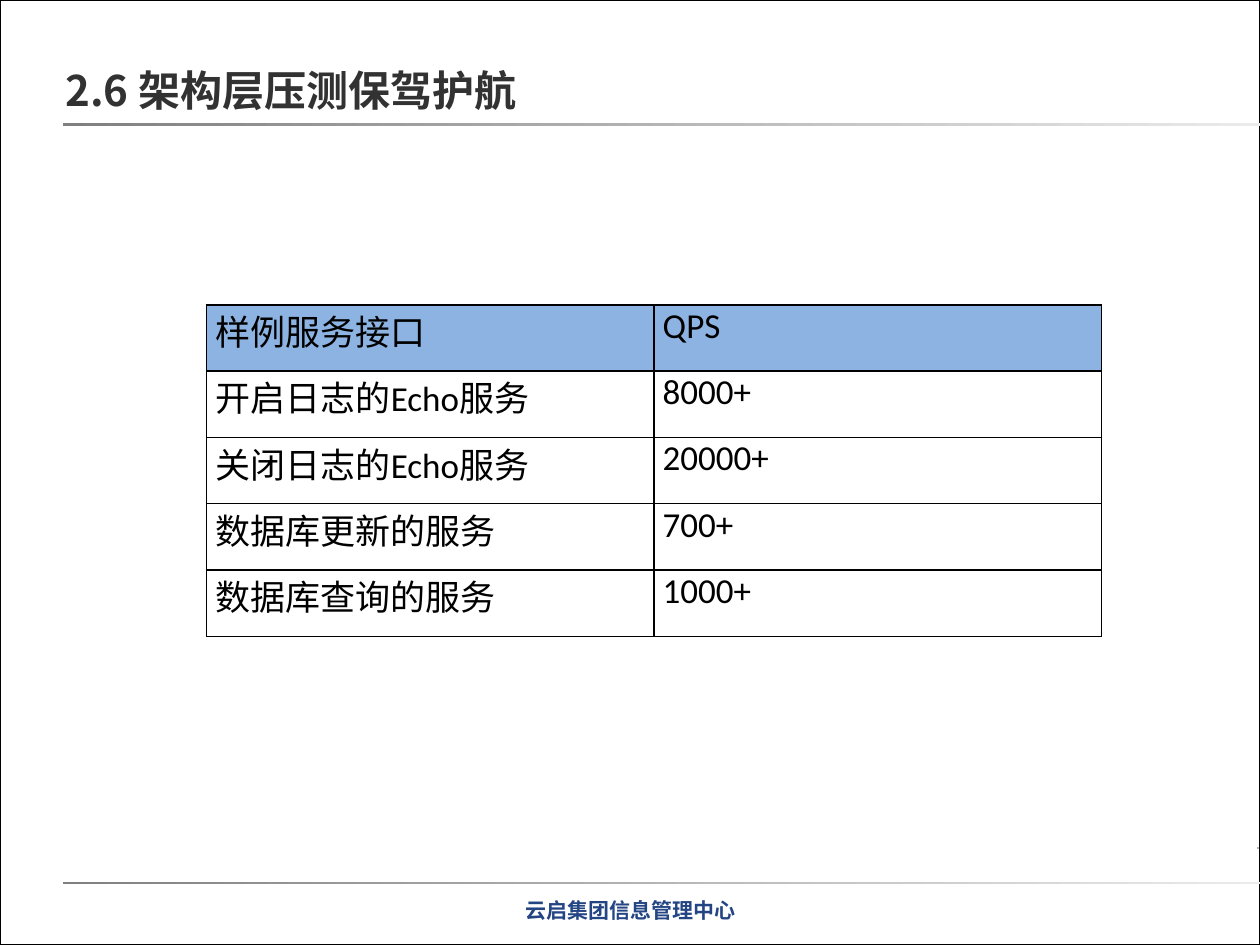
"""Build the slide on load-test results of the architecture layer."""
from lxml import etree
from pptx import Presentation
from pptx import util as u
from pptx.dml.color import RGBColor
from pptx.enum import shapes, text
from pptx.oxml.ns import qn

COLORS = {"white": "FFFFFF", "black": "000000", "title": "323232", "footer": "244583",
          "header": "8DB3E2", "rule_dark": "808080", "rule_light": "EBEBEB", "tick_light": "D7D7D7"}
CJK = "Noto Sans CJK SC"


def rgb(name):
    return RGBColor.from_string(COLORS[name])


def write(tf, words, size=20, font="Calibri", color="black", bold=False,
          align=text.PP_ALIGN.LEFT, spacing=None, anchor=None, insets=None):
    tf.word_wrap = True
    if anchor is not None:
        tf.auto_size = text.MSO_AUTO_SIZE.NONE
        tf.vertical_anchor = anchor
    if insets is not None:
        tf.margin_left = tf.margin_right = u.Inches(insets[0])
        tf.margin_top = tf.margin_bottom = u.Inches(insets[1])
    p = tf.paragraphs[0]
    p.alignment = align
    if spacing:
        p.line_spacing = u.Pt(spacing)
    r = p.add_run()
    r.text = words
    r.font.size, r.font.name, r.font.bold = u.Pt(size), font, bold
    r.font.color.rgb = rgb(color)
    etree.SubElement(r._r.get_or_add_rPr(), qn("a:ea"), typeface=CJK)


prs = Presentation()
prs.slide_width, prs.slide_height = u.Inches(10), u.Inches(7.5)
s = prs.slides.add_slide(prs.slide_layouts[5])
s.background.fill.solid()
s.background.fill.fore_color.rgb = rgb("white")

frame = s.shapes.add_shape(shapes.MSO_SHAPE.RECTANGLE, 0, 0, prs.slide_width, prs.slide_height)
frame.shadow.inherit = False
frame.fill.background()
frame.line.color.rgb = rgb("black")
frame.line.width = u.Pt(1)

rules = [(9.98, 6.72, 0.01, "tick_light"), (0.5, 0.98, 9.53, "rule_light"), (0.5, 7, 9.53, "rule_light")]
for left, top, width, end in rules:
    sp = s.shapes.add_shape(shapes.MSO_SHAPE.RECTANGLE, u.Inches(left), u.Inches(top),
                            u.Inches(width), u.Inches(0.02))
    sp.shadow.inherit = False
    sp.line.fill.background()
    sp.fill.gradient()
    sp.fill.gradient_angle = 0
    for stop, color in zip(sp.fill.gradient_stops, ("rule_dark", end)):
        stop.color.rgb = rgb(color)

footer = s.shapes.add_textbox(u.Inches(3.43), u.Inches(7.12), u.Inches(3.15), u.Inches(0.25))
write(footer.text_frame, "云启集团信息管理中心", size=12, font="Karla", color="footer", bold=True,
      align=text.PP_ALIGN.CENTER, anchor=text.MSO_ANCHOR.BOTTOM, insets=(0.1, 0.05))

title = s.shapes.title
title.left, title.top = u.Inches(0.52), u.Inches(0.51)
title.width, title.height = u.Inches(8.98), u.Inches(0.4)
write(title.text_frame, "2.6 架构层压测保驾护航", size=24, font=CJK, color="title", bold=True,
      spacing=26, anchor=text.MSO_ANCHOR.BOTTOM, insets=(0, 0))

rows = [
    ("样例服务接口", "QPS"),
    ("开启日志的Echo服务", "8000+"),
    ("关闭日志的Echo服务", "20000+"),
    ("数据库更新的服务", "700+"),
    ("数据库查询的服务", "1000+"),
]
table = s.shapes.add_table(len(rows), 2, u.Inches(1.64), u.Inches(2.42),
                           u.Inches(7.1), u.Inches(2.63)).table
table.horz_banding = False
for i, row in enumerate(rows):
    for j, words in enumerate(row):
        cell = table.cell(i, j)
        cell.margin_left = cell.margin_right = u.Inches(0.07)
        cell.margin_top = cell.margin_bottom = 0
        write(cell.text_frame, words, align=text.PP_ALIGN.JUSTIFY)
        tcPr = cell._tc.get_or_add_tcPr()
        for side in ("lnL", "lnR", "lnT", "lnB"):
            ln = etree.SubElement(tcPr, qn(f"a:{side}"), w=str(u.Pt(1)))
            fill = etree.SubElement(ln, qn("a:solidFill"))
            etree.SubElement(fill, qn("a:srgbClr"), val=COLORS["black"])
        if i == 0:
            cell.fill.solid()
            cell.fill.fore_color.rgb = rgb("header")
        else:
            cell.fill.background()

prs.save("out.pptx")
